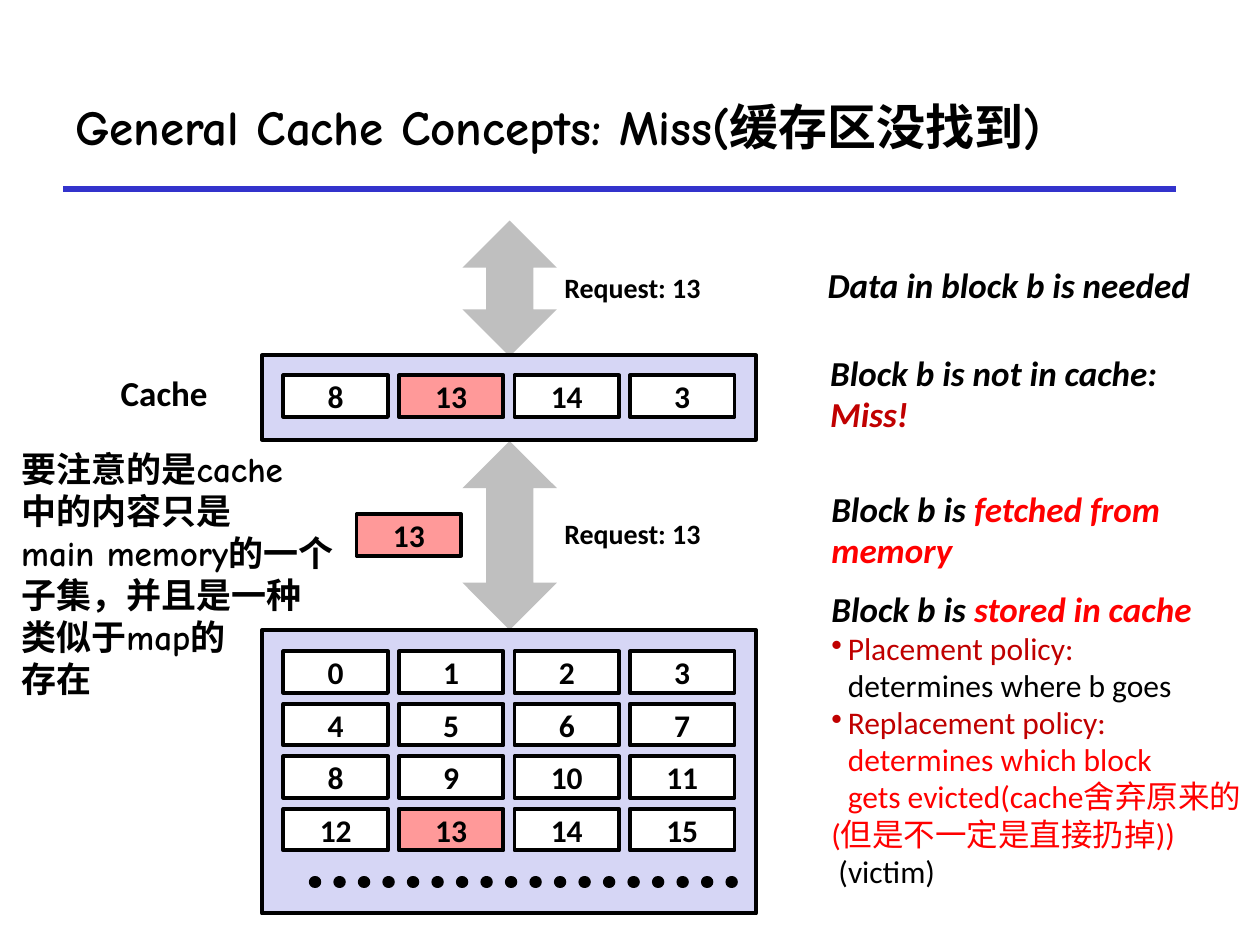
from dataclasses import dataclass

from lxml.etree import SubElement
from pptx import Presentation
from pptx.dml.color import RGBColor
from pptx.enum.dml import MSO_LINE
from pptx.enum.shapes import MSO_CONNECTOR, MSO_SHAPE
from pptx.enum.text import MSO_ANCHOR, PP_ALIGN
from pptx.oxml.ns import qn
from pptx.util import Inches, Pt

BLACK = RGBColor(0x00, 0x00, 0x00)
WHITE = RGBColor(0xFF, 0xFF, 0xFF)
BLUE = RGBColor(0x33, 0x33, 0xCC)
LILAC = RGBColor(0xD6, 0xD6, 0xF5)
GREY = RGBColor(0xBF, 0xBF, 0xBF)
PINK = RGBColor(0xFF, 0x99, 0x99)
RED = RGBColor(0xFF, 0x00, 0x00)
DARK_RED = RGBColor(0xC0, 0x00, 0x00)

SANS = "Calibri"
COMIC = "Comic Neue"
WANTED = 13
CELL_W, CELL_H = 0.83, 0.33
COL_STEP, ROW_STEP = 11 / 12, 5 / 12


@dataclass
class Span:
    text: str
    color: RGBColor = BLACK


@dataclass
class Line:
    spans: list[Span]
    size: int = 20
    bold: bool = True
    italic: bool = False
    font: str = SANS
    bullet: bool = False


@dataclass
class Label:
    left: float
    top: float
    width: float
    height: float
    lines: list[Line]
    align: PP_ALIGN = PP_ALIGN.LEFT
    anchor: MSO_ANCHOR = MSO_ANCHOR.TOP
    spacing: float = 1.0
    wrap: bool = False


def remark(*spans: Span) -> Line:
    return Line(list(spans), italic=True)


def detail(*spans: Span, bullet: bool = False) -> Line:
    return Line(list(spans), size=18, bold=False, bullet=bullet)


def step(left: float, top: float, width: float, height: float,
         *lines: Line, wrap: bool = False) -> Label:
    """Describe one remark in the right-hand column."""
    return Label(left, top, width, height, list(lines), wrap=wrap,
                 anchor=MSO_ANCHOR.MIDDLE, spacing=0.98)


def request(top: float) -> Label:
    return Label(4.37, top, 1.3, 0.37,
                 [Line([Span(f"Request: {WANTED}")], size=16)], PP_ALIGN.CENTER)


def write_line(para, line: Line) -> None:
    if line.bullet:
        props = para._p.get_or_add_pPr()
        props.set("marL", str(Inches(0.13)))
        props.set("indent", str(Inches(-0.13)))
        SubElement(props, qn("a:buChar")).set("char", "•")
    for span in line.spans:
        for num, part in enumerate(span.text.split("\n")):
            if num:
                para.add_line_break()
            if not part:
                continue
            run = para.add_run()
            run.text = part
            font = run.font
            font.name, font.size = line.font, Pt(line.size)
            font.bold, font.italic = line.bold, line.italic
            font.color.rgb = span.color


def draw_label(slide, label: Label) -> None:
    box = slide.shapes.add_textbox(Inches(label.left), Inches(label.top),
                                   Inches(label.width), Inches(label.height))
    frame = box.text_frame
    frame.word_wrap = label.wrap
    frame.vertical_anchor = label.anchor
    for num, line in enumerate(label.lines):
        para = frame.add_paragraph() if num else frame.paragraphs[0]
        write_line(para, line)
        para.alignment = label.align
        para.line_spacing = label.spacing


def draw_shape(slide, kind: MSO_SHAPE, left: float, top: float,
               width: float, height: float, fill: RGBColor):
    shape = slide.shapes.add_shape(kind, Inches(left), Inches(top),
                                   Inches(width), Inches(height))
    shape.shadow.inherit = False
    shape.fill.solid()
    shape.fill.fore_color.rgb = fill
    shape.line.fill.background()
    return shape


def draw_box(slide, left: float, top: float, width: float, height: float,
             fill: RGBColor):
    box = draw_shape(slide, MSO_SHAPE.RECTANGLE, left, top, width, height, fill)
    box.line.color.rgb = BLACK
    box.line.width = Pt(2.25)
    return box


def draw_block(slide, left: float, top: float, value: int) -> None:
    fill = PINK if value == WANTED else WHITE
    frame = draw_box(slide, left, top, CELL_W, CELL_H, fill).text_frame
    frame.vertical_anchor = MSO_ANCHOR.MIDDLE
    para = frame.paragraphs[0]
    para.alignment = PP_ALIGN.CENTER
    write_line(para, Line([Span(str(value))], size=18))


def draw_grid(slide, top: float, values: list[int]) -> None:
    """Draw blocks four to a row."""
    for num, value in enumerate(values):
        row, col = divmod(num, 4)
        draw_block(slide, 2.25 + col * COL_STEP, top + row * ROW_STEP, value)


def draw_rule(slide, left: float, right: float, y: float,
              color: RGBColor, width: float):
    rule = slide.shapes.add_connector(MSO_CONNECTOR.STRAIGHT, Inches(left),
                                      Inches(y), Inches(right), Inches(y))
    rule.line.color.rgb = color
    rule.line.width = Pt(width)
    SubElement(rule._element.spPr, qn("a:effectLst"))
    return rule


NOTE = ["要注意的是cache", "中的内容只是", "main memory的一个",
        "子集，并且是一种", "类似于map的", "存在"]

LABELS = [
    Label(0.5, 0.5, 8.83, 1,
          [Line([Span("General Cache Concepts: Miss(缓存区没找到)")],
                size=28, font=COMIC)],
          anchor=MSO_ANCHOR.MIDDLE, wrap=True),
    Label(0.86, 2.9, 1.04, 0.43, [Line([Span("Cache")])]),
    request(2.1),
    request(4.05),
    step(6.47, 2.06, 3.09, 0.43, remark(Span("Data in block b is needed"))),
    step(6.49, 2.75, 2.81, 0.76,
         remark(Span("Block b is not in cache:")),
         remark(Span("Miss!", DARK_RED))),
    step(6.5, 3.83, 2.83, 0.76,
         remark(Span("Block b is "), Span("fetched from", RED)),
         remark(Span("memory", RED))),
    step(6.5, 4.62, 3.45, 2.51,
         remark(Span("Block b is "), Span("stored in cache", RED)),
         detail(Span("Placement policy:\n", DARK_RED),
                Span("determines where b goes"), bullet=True),
         detail(Span("Replacement policy:\n", DARK_RED),
                Span("determines which block\ngets evicted(cache舍弃原来的", RED),
                bullet=True),
         detail(Span("(但是不一定是直接扔掉))", RED)),
         detail(Span(" (victim)")), wrap=True),
    Label(0.07, 3.5, 2.77, 2.12,
          [Line([Span(text)], font=COMIC) for text in NOTE]),
]


def main() -> None:
    deck = Presentation()
    deck.slide_width, deck.slide_height = Inches(10), Inches(7.5)
    slide = deck.slides.add_slide(deck.slide_layouts[6])

    draw_rule(slide, 0.5, 9.33, 1.5, BLUE, 3)
    for top, height in ((1.75, 1.08), (3.5, 1.5)):
        draw_shape(slide, MSO_SHAPE.UP_DOWN_ARROW, 3.67, top, 0.75, height, GREY)

    draw_box(slide, 2.08, 5, 3.92, 2.25, LILAC)
    draw_box(slide, 2.08, 2.82, 3.92, 0.67, LILAC)
    draw_grid(slide, 5.17, list(range(16)))
    draw_grid(slide, 2.98, [8, WANTED, 14, 3])
    draw_block(slide, 2.83, 4.08, WANTED)

    dots = draw_rule(slide, 2.5, 5.83, 7, BLACK, 7)
    dots.line.dash_style = MSO_LINE.ROUND_DOT
    dots._element.spPr.find(qn("a:ln")).set("cap", "rnd")

    for label in LABELS:
        draw_label(slide, label)
    deck.save("out.pptx")


if __name__ == "__main__":
    main()
